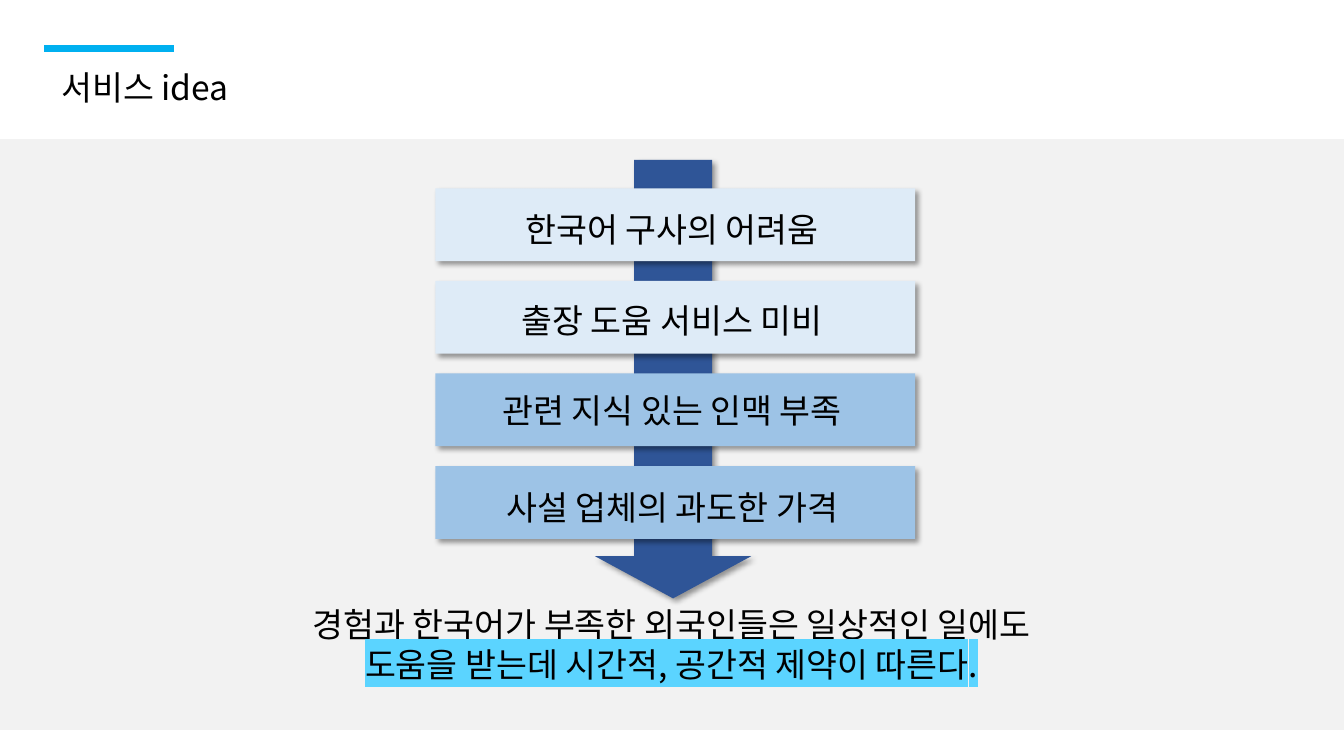
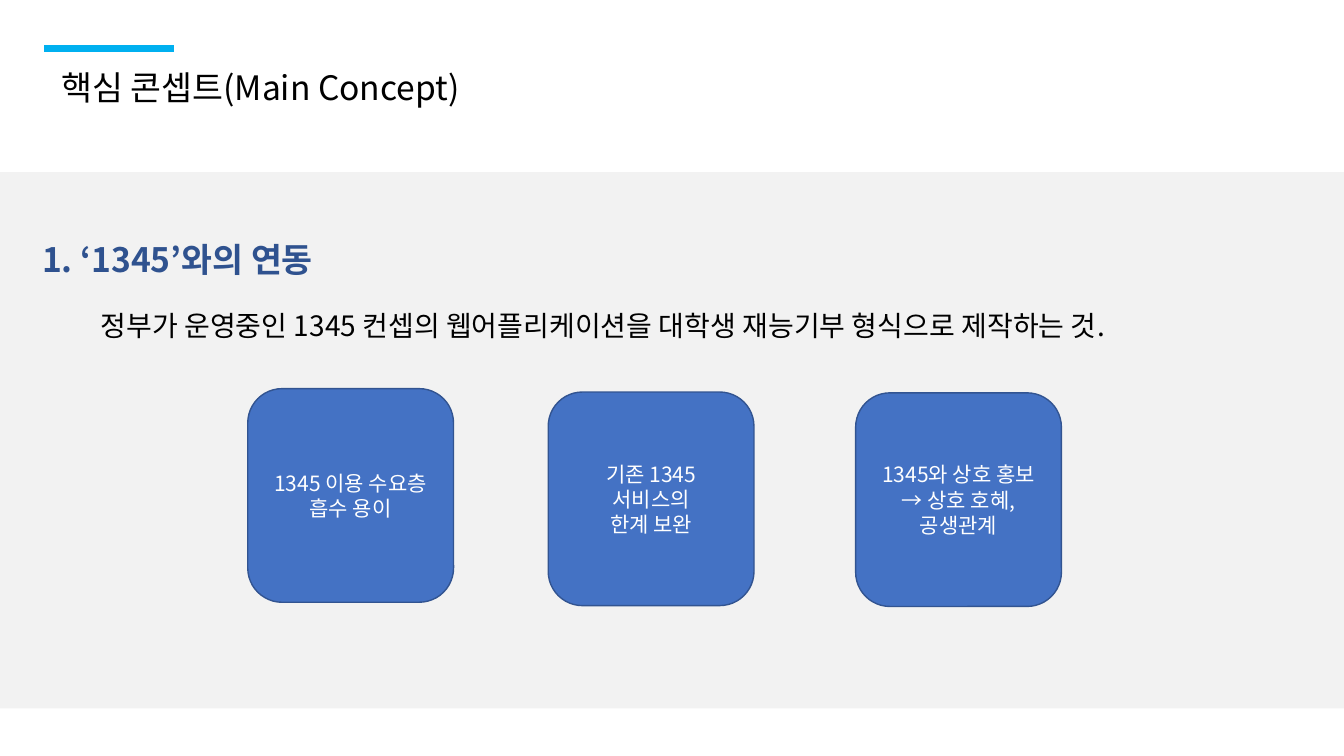
from lxml import etree
from pptx import Presentation
from pptx.dml.color import RGBColor
from pptx.enum import shapes, text
from pptx.oxml import ns
from pptx.util import Pt

FONT = "Noto Sans CJK KR"
BLACK, WHITE, PANEL = "000000", "FFFFFF", "F2F2F2"
ACCENT, NAVY, HIGHLIGHT = "00B0F0", "2F5597", "5BD4FF"
SHAPE = shapes.MSO_SHAPE
CENTER = text.PP_ALIGN.CENTER


def add_box(s, kind, at, fill, line=None, shadow=False):
    sp = s.shapes.add_shape(kind, *map(Pt, at))
    sp.fill.solid()
    sp.fill.fore_color.rgb = RGBColor.from_string(fill)
    if line:
        sp.line.color.rgb = RGBColor.from_string(line)
        sp.line.width = Pt(1)
    else:
        sp.line.fill.background()
    sp.shadow.inherit = False
    if shadow:
        effects = sp._element.spPr.find(ns.qn("a:effectLst"))
        outer = etree.SubElement(effects, ns.qn("a:outerShdw"), blurRad=str(Pt(4)),
                                 dist=str(Pt(3)), dir="2700000", algn="tl", rotWithShape="0")
        clr = etree.SubElement(outer, ns.qn("a:srgbClr"), val=BLACK)
        etree.SubElement(clr, ns.qn("a:alpha"), val="40000")
    return sp


def write(sp, lines, size=24, color=BLACK, bold=False, align=None, marked=()):
    """Fill a shape with one paragraph per line; marked holds the highlighted lines."""
    tf = sp.text_frame
    tf.word_wrap = True
    for i, line in enumerate(lines):
        p = tf.paragraphs[0] if i == 0 else tf.add_paragraph()
        p.alignment = align
        p.line_spacing = Pt(size * 1.2)
        r = p.add_run()
        r.text = line
        for name, value in {"size": Pt(size), "bold": bold, "name": FONT}.items():
            setattr(r.font, name, value)
        r.font.color.rgb = RGBColor.from_string(color)
        latin = r.font._element.find(ns.qn("a:latin"))
        latin.addnext(etree.Element(ns.qn("a:ea"), typeface=FONT))
        if i in marked:
            mark = etree.Element(ns.qn("a:highlight"))
            etree.SubElement(mark, ns.qn("a:srgbClr"), val=HIGHLIGHT)
            latin.addprevious(mark)


prs = Presentation()
prs.slide_width, prs.slide_height = Pt(960), Pt(540)

# Shared frame: grey panel, accent line and title
slides = []
for title, panel_top, panel_height in [("서비스 idea", 99.4, 422),
                                       ("핵심 콘셉트(Main Concept)", 123, 383)]:
    s = prs.slides.add_slide(prs.slide_layouts[6])
    add_box(s, SHAPE.RECTANGLE, (0, panel_top, 960, panel_height), PANEL)
    rule = s.shapes.add_connector(shapes.MSO_CONNECTOR.STRAIGHT,
                                  Pt(31.5), Pt(34.6), Pt(124), Pt(34.6))
    rule.line.color.rgb = RGBColor.from_string(ACCENT)
    rule.line.width = Pt(5)
    etree.SubElement(rule._element.spPr, ns.qn("a:effectLst"))
    write(s.shapes.add_textbox(Pt(36.7), Pt(44), Pt(630), Pt(36)), [title])
    slides.append(s)
idea, concept = slides

# Slide 1: problems stacked on a downward arrow
arrow = add_box(idea, SHAPE.DOWN_ARROW, (425, 114.2, 111.6, 313.2), NAVY, shadow=True)
arrow.adjustments[0], arrow.adjustments[1] = 0.5, 0.27
problems = [("한국어 구사의 어려움", "DEEBF7", 145.4),
            ("출장 도움 서비스 미비", "DEEBF7", 211),
            ("관련 지식 있는 인맥 부족", "9DC3E6", 275),
            ("사설 업체의 과도한 가격", "9DC3E6", 344.6)]
for i, (problem, fill, label_top) in enumerate(problems):
    add_box(idea, SHAPE.RECTANGLE, (311, 134.6 + 66.1 * i, 342.7, 52), fill, shadow=True)
    label = idea.shapes.add_textbox(Pt(305), Pt(label_top), Pt(350), Pt(36))
    write(label, [problem], align=CENTER)
conclusion = idea.shapes.add_textbox(Pt(196.6), Pt(427.7), Pt(566), Pt(94))
write(conclusion, ["경험과 한국어가 부족한 외국인들은 일상적인 일에도",
                   "도움을 받는데 시간적, 공간적 제약이 따른다."], align=CENTER, marked=[1])

# Slide 2: heading, summary and three benefit cards
summary = concept.shapes.add_textbox(Pt(64.8), Pt(216.7), Pt(771), Pt(80))
write(summary, ["정부가 운영중인 1345 컨셉의 웹어플리케이션을 대학생 재능기부 형식으로 제작하는 것."],
      size=20)
heading = concept.shapes.add_textbox(Pt(23), Pt(167), Pt(248.4), Pt(58))
write(heading, ["1. ‘1345’와의 연동"], color="2F528F", bold=True)
cards = [(177, 277.6, ["1345 이용 수요층", "흡수 용이"]),
         (391.6, 280, ["기존 1345", "서비스의", "한계 보완"]),
         (611.2, 280.6, ["1345와 상호 홍보", "→ 상호 호혜,", "공생관계"])]
for left, top, lines in cards:
    card = add_box(concept, SHAPE.ROUNDED_RECTANGLE, (left, top, 147, 152.6),
                   "4472C4", line="325491")
    card.text_frame.vertical_anchor = text.MSO_ANCHOR.MIDDLE
    write(card, lines, size=15, color=WHITE, align=CENTER)

prs.save("out.pptx")
